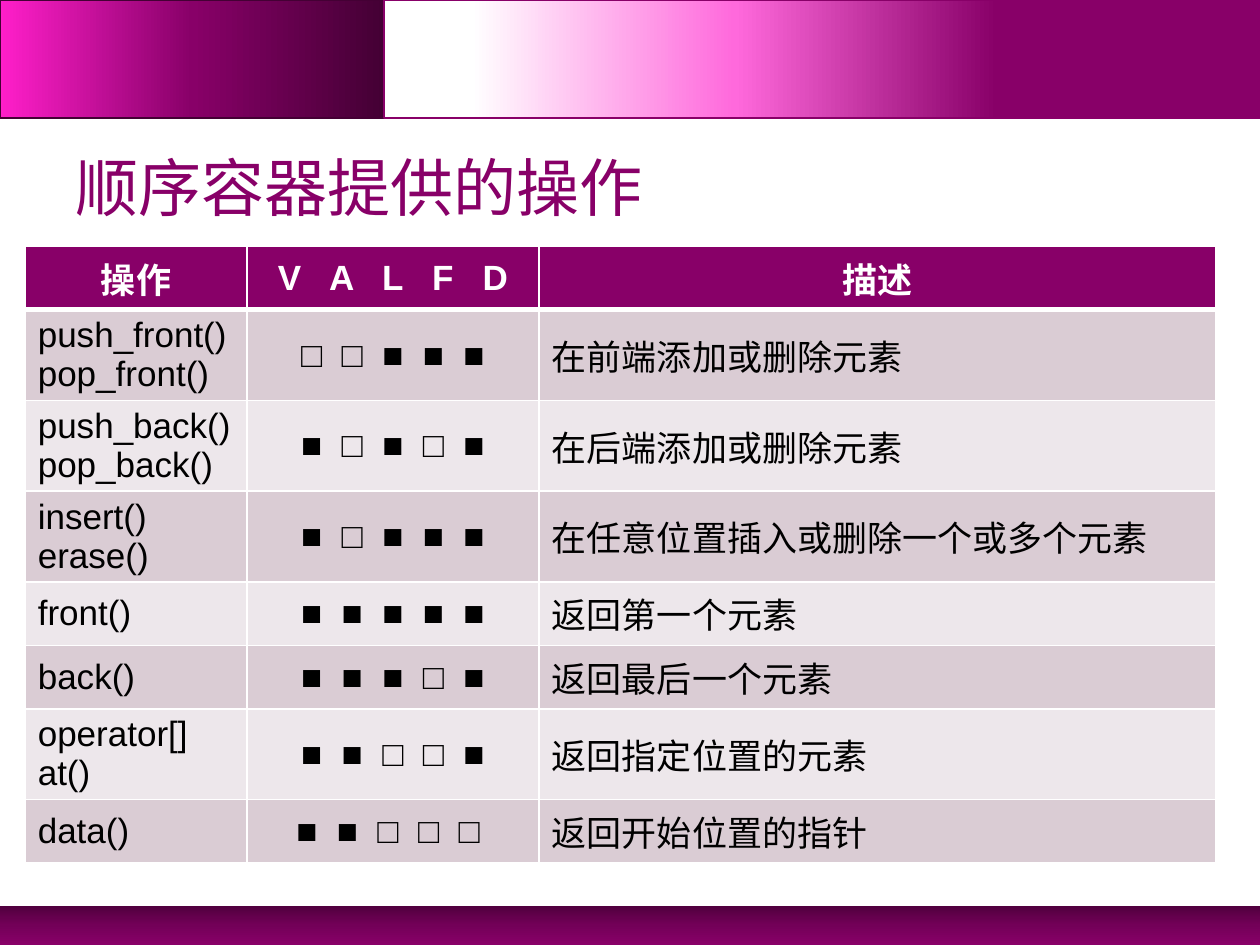
from lxml import etree
from pptx import Presentation
from pptx import util as u
from pptx.dml.color import RGBColor
from pptx.enum import shapes, text
from pptx.oxml import parse_xml
from pptx.oxml.ns import nsdecls, qn

COLORS = {
    "plum": "880068", "deep": "51003E", "mid": "730058", "night": "440034",
    "magenta": "FF1FCA", "pink": "FF69DC", "white": "FFFFFF", "black": "000000",
    "band_dark": "DACCD4", "band_light": "EDE7EB",
}
FONT = "Arial"
HEADERS = ["操作", "V   A   L   F   D", "描述"]
OPERATIONS = [
    ("push_front()\npop_front()", "□  □  ■  ■  ■", "在前端添加或删除元素"),
    ("push_back()\npop_back()", "■  □  ■  □  ■", "在后端添加或删除元素"),
    ("insert()\nerase()", "■  □  ■  ■  ■", "在任意位置插入或删除一个或多个元素"),
    ("front()", "■  ■  ■  ■  ■", "返回第一个元素"),
    ("back()", "■  ■  ■  □  ■", "返回最后一个元素"),
    ("operator[]\nat()", "■  ■  □  □  ■", "返回指定位置的元素"),
    ("data()", "■  ■  □  □  □ ", "返回开始位置的指针"),
]
COLUMN_WIDTHS = [126.72, 167.04, 386.64]
ROW_HEIGHT = 29.52


def rgb(name):
    return RGBColor.from_string(COLORS[name])


def style_text(frame, size, color, align, bold=False):
    for para in frame.paragraphs:
        para.alignment = align
        for span in para.runs:
            span.font.name = FONT
            span.font.size = u.Pt(size)
            span.font.bold = bold
            span.font.color.rgb = rgb(color)


def add_gradient_bar(page, bounds, stops, angle, line=None):
    bar = page.shapes.add_shape(shapes.MSO_SHAPE.RECTANGLE, *map(u.Pt, bounds))
    bar.shadow.inherit = False
    if line:
        bar.line.color.rgb = rgb(line)
        bar.line.width = u.Pt(1)
    else:
        bar.line.fill.background()
    # Three-stop gradient
    bar.fill.gradient()
    fill = bar.element.spPr.find(qn("a:gradFill"))
    stop_list = fill.find(qn("a:gsLst"))
    for old in list(stop_list):
        stop_list.remove(old)
    for position, color in stops:
        stop = etree.SubElement(stop_list, qn("a:gs"), pos=str(position * 1000))
        etree.SubElement(stop, qn("a:srgbClr"), val=COLORS[color])
    fill.find(qn("a:lin")).set("ang", str(angle * 60000))


def set_borders(cell, top, bottom):
    properties = cell._tc.get_or_add_tcPr()
    widths = {"lnL": 1, "lnR": 1, "lnT": top, "lnB": bottom}
    for index, (side, width) in enumerate(widths.items()):
        properties.insert(index, parse_xml(
            f'<a:{side} {nsdecls("a")} w="{u.Pt(width)}"><a:solidFill>'
            f'<a:srgbClr val="{COLORS["white"]}"/></a:solidFill></a:{side}>'))


def fill_cell(cell, words, fill, color, align, bold):
    cell.text_frame.text = words
    cell.vertical_anchor = text.MSO_ANCHOR.MIDDLE
    cell.fill.solid()
    cell.fill.fore_color.rgb = rgb(fill)
    style_text(cell.text_frame, 20, color, align, bold)


def add_title(page, words):
    title = page.shapes.title
    title.left, title.top, title.width, title.height = map(u.Pt, (36, 78.5, 648, 56))
    title.text_frame.text = words
    title.text_frame.vertical_anchor = text.MSO_ANCHOR.MIDDLE
    style_text(title.text_frame, 36, "plum", text.PP_ALIGN.LEFT)


def add_operations_table(page):
    rows = [HEADERS, *OPERATIONS]
    table = page.shapes.add_table(
        len(rows), len(HEADERS), u.Pt(14.4), u.Pt(140.7),
        u.Pt(sum(COLUMN_WIDTHS)), u.Pt(ROW_HEIGHT * len(rows))).table
    for column, width in zip(table.columns, COLUMN_WIDTHS):
        column.width = u.Pt(width)
    for r, row in enumerate(rows):
        table.rows[r].height = u.Pt(ROW_HEIGHT)
        header = r == 0
        fill = "plum" if header else ("band_light", "band_dark")[r % 2]
        for c, words in enumerate(row):
            centred = header or c == 1
            align = text.PP_ALIGN.CENTER if centred else text.PP_ALIGN.LEFT
            cell = table.cell(r, c)
            fill_cell(cell, words, fill, "white" if header else "black", align, header)
            # Thick rule under the header
            set_borders(cell, top=3 if r == 1 else 1, bottom=3 if header else 1)


def main():
    deck = Presentation()
    deck.slide_width, deck.slide_height = u.Pt(720), u.Pt(540)
    page = deck.slides.add_slide(deck.slide_layouts[5])

    # Footer and header bands
    add_gradient_bar(page, (0, 517.7, 720, 22.3),
                     [(0, "deep"), (50, "mid"), (100, "plum")], 90)
    add_gradient_bar(page, (0, 0, 219.6, 67.5),
                     [(0, "night"), (50, "plum"), (100, "magenta")], 180, "night")
    add_gradient_bar(page, (219.6, 0, 500.4, 67.5),
                     [(30, "plum"), (60, "pink"), (90, "white")], 180, "plum")

    # Content
    add_title(page, "顺序容器提供的操作")
    add_operations_table(page)
    deck.save("out.pptx")


if __name__ == "__main__":
    main()
